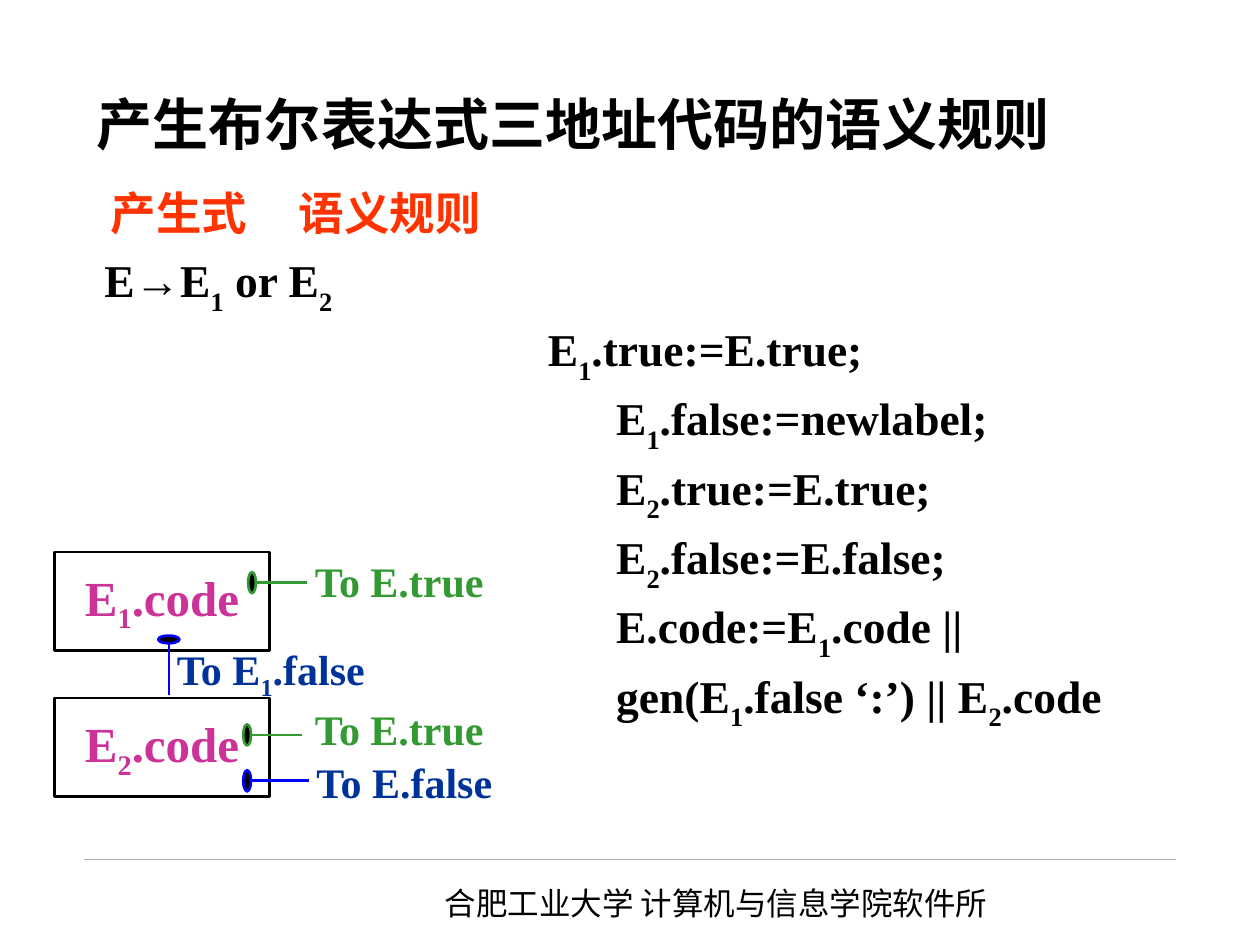
from lxml import etree
from pptx import Presentation
from pptx.dml.color import RGBColor
from pptx.enum.shapes import MSO_CONNECTOR, MSO_SHAPE
from pptx.enum.text import MSO_ANCHOR, MSO_AUTO_SIZE, PP_ALIGN
from pptx.oxml.ns import qn
from pptx.util import Pt

LEFT, CENTER = PP_ALIGN.LEFT, PP_ALIGN.CENTER
TOP, MIDDLE = MSO_ANCHOR.TOP, MSO_ANCHOR.MIDDLE
STRAIGHT = MSO_CONNECTOR.STRAIGHT
RECT, OVAL = MSO_SHAPE.RECTANGLE, MSO_SHAPE.OVAL

SERIF, SANS, CJK = "Times New Roman", "DejaVu Sans", "Noto Sans CJK SC"
BLACK, RED, PINK = "000000", "FF3300", "CC3399"
GREEN, NAVY, BLUE, GREY = "339933", "003399", "0000FF", "B2B2B2"

# Content: "_" puts the next character in subscript
TITLE = "产生布尔表达式三地址代码的语义规则"
FOOTER = "合肥工业大学 计算机与信息学院软件所"
RULE_X = 325.5
# text, first-line indent, colour
RULES = [
    ("产生式\t语义规则", 36.7, RED),
    ("E→E_1 or E_2", 33, BLACK),
    ("E_1.true:=E.true;", 286.5, BLACK),
    ("E_1.false:=newlabel;", RULE_X, BLACK),
    ("E_2.true:=E.true;", RULE_X, BLACK),
    ("E_2.false:=E.false;", RULE_X, BLACK),
    ("E.code:=E_1.code ||", RULE_X, BLACK),
    ("gen(E_1.false ‘:’) || E_2.code", RULE_X, BLACK),
]
# text, top
CODE_BOXES = [("E_1.code", 315.4), ("E_2.code", 398.9)]
# text, centre x, centre y, colour
LABELS = [
    ("To E.true", 228.2, 331.6, GREEN),
    ("To E_1.false", 154.8, 384.2, NAVY),
    ("To E.true", 228.2, 416.5, GREEN),
    ("To E.false", 231.1, 446.8, NAVY),
]
# exit dot centre, line end, colour
EXITS = [
    ((144, 333), (175.7, 333), GREEN),
    ((96.5, 365.4), (96.5, 397.4), BLUE),
    ((141.2, 420), (172.8, 420), GREEN),
    ((141.2, 446.2), (176.4, 446.2), BLUE),
]
DOT_SHORT, DOT_LONG = 4.4, 12.2


def rgb(color):
    return RGBColor.from_string(color)


def write(p, text, size, color, font=SERIF, bold=True, sub=-25000):
    """Fill a paragraph, one run for each normal or subscript piece."""
    head, *rest = text.split("_")
    pieces = [(head, False)]
    for part in rest:
        pieces += [(part[0], True), (part[1:], False)]
    for piece, lowered in pieces:
        if not piece:
            continue
        r = p.add_run()
        r.text = piece
        r.font.name, r.font.size, r.font.bold = font, Pt(size), bold
        r.font.color.rgb = rgb(color)
        rPr = r.font._element
        if lowered:
            rPr.set("baseline", str(sub))
        if any("\u4e00" <= ch <= "\u9fff" for ch in piece):
            rPr.find(qn("a:latin")).addnext(
                etree.Element(qn("a:ea"), typeface=CJK))


def place(sp, x, y, w, h):
    sp.left, sp.top, sp.width, sp.height = Pt(x), Pt(y), Pt(w), Pt(h)


def set_frame(tf, anchor, wrap):
    tf.auto_size = MSO_AUTO_SIZE.NONE
    tf.vertical_anchor, tf.word_wrap = anchor, wrap


def add_line(start, end, color, width):
    line = slide.shapes.add_connector(
        STRAIGHT, *(Pt(v) for v in (*start, *end)))
    line.line.color.rgb, line.line.width = rgb(color), Pt(width)
    etree.SubElement(line._element.spPr, qn("a:effectLst"))


def add_outline(kind, x, y, w, h, color, fill=None):
    sp = slide.shapes.add_shape(kind, Pt(x), Pt(y), Pt(w), Pt(h))
    sp.shadow.inherit = False
    sp.line.color.rgb, sp.line.width = rgb(color), Pt(1.5)
    if fill:
        sp.fill.solid()
        sp.fill.fore_color.rgb = rgb(fill)
    else:
        sp.fill.background()
    return sp


def add_centred(tf, text, size, color):
    set_frame(tf, MIDDLE, False)
    tf.paragraphs[0].alignment = CENTER
    write(tf.paragraphs[0], text, size, color)


prs = Presentation()
prs.slide_width, prs.slide_height = Pt(720), Pt(540)
slide = prs.slides.add_slide(prs.slide_layouts[1])

# Footer
add_line((48.2, 491), (671.8, 491), GREY, 0.25)
sp = slide.shapes.add_textbox(Pt(247), Pt(501.8), Pt(363), Pt(29))
set_frame(sp.text_frame, TOP, True)
write(sp.text_frame.paragraphs[0], FOOTER, 18, BLACK, CJK, False)

# Title
title = slide.shapes.title
place(title, 48.2, 26.6, 653.8, 87.1)
set_frame(title.text_frame, MIDDLE, True)
title.text_frame.paragraphs[0].alignment = LEFT
write(title.text_frame.paragraphs[0], TITLE, 32, BLACK, SANS)

# Productions and semantic rules
body = slide.placeholders[1]
place(body, 19.4, 105.8, 700.6, 354.2)
tf = body.text_frame
set_frame(tf, TOP, True)
for i, (text, indent, color) in enumerate(RULES):
    p = tf.add_paragraph() if i else tf.paragraphs[0]
    pPr = p._p.get_or_add_pPr()
    pPr.set("marL", "0")
    pPr.set("indent", str(Pt(indent)))
    etree.SubElement(pPr, qn("a:buNone"))
    if "\t" in text:
        tabs = etree.SubElement(pPr, qn("a:tabLst"))
        etree.SubElement(tabs, qn("a:tab"), pos=str(Pt(RULE_X)), algn="l")
    p.alignment, p.line_spacing = LEFT, 0.9
    p.space_before = Pt(6.5 if i else 0)
    write(p, text, 26, color, sub=-30000)

# Code boxes
for text, top in CODE_BOXES:
    sp = add_outline(RECT, 31, top, 123.1, 56.2, BLACK)
    add_centred(sp.text_frame, text, 28, PINK)

# Exits: a dot, stretched across its line
for (x, y), end, color in EXITS:
    vertical = end[0] == x
    w, h = (DOT_LONG, DOT_SHORT) if vertical else (DOT_SHORT, DOT_LONG)
    start = (x, y + h / 2) if vertical else (x + w / 2, y)
    add_line(start, end, color, 1.5)
    add_outline(OVAL, x - w / 2, y - h / 2, w, h, color, BLACK)

# Exit labels
LABEL_W, LABEL_H = 76.3, 43.9
for text, x, y, color in LABELS:
    sp = slide.shapes.add_textbox(Pt(x - LABEL_W / 2), Pt(y - LABEL_H / 2),
                                  Pt(LABEL_W), Pt(LABEL_H))
    add_centred(sp.text_frame, text, 24, color)

prs.save("out.pptx")
